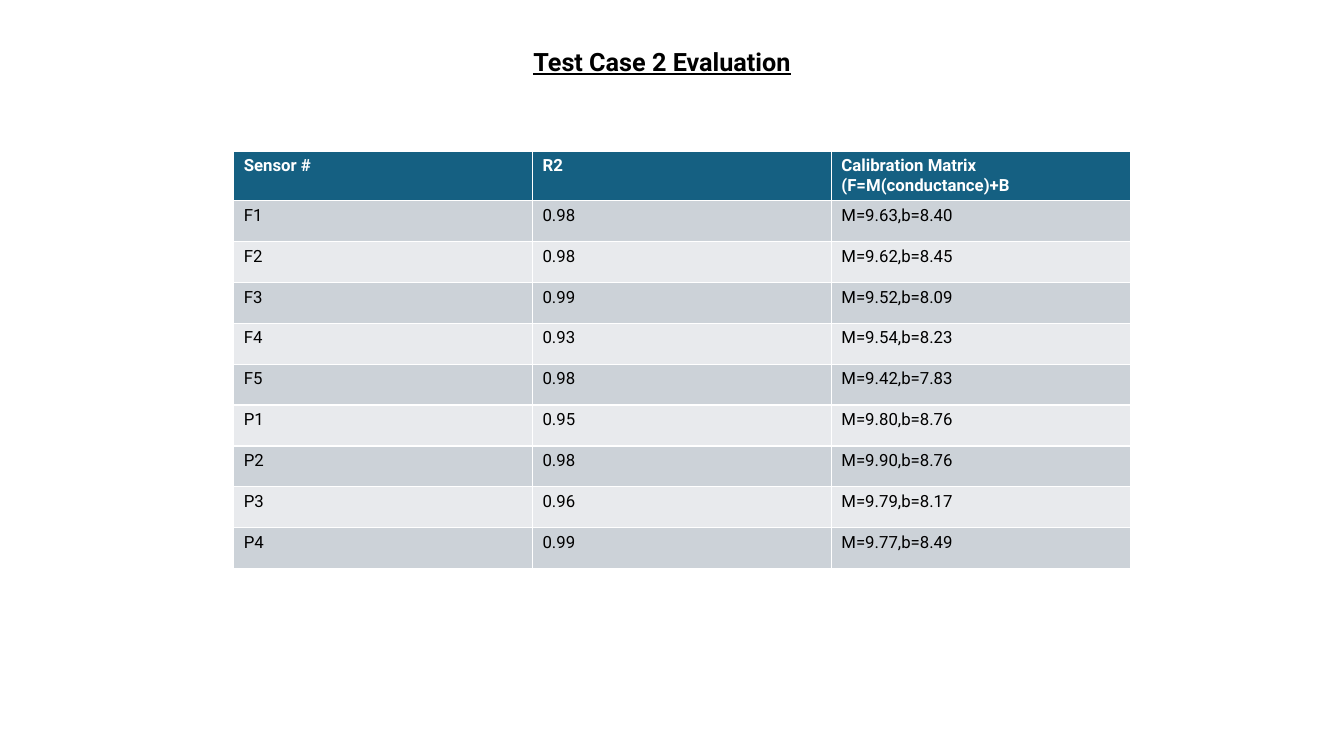
from pptx import Presentation
from pptx.dml.color import RGBColor
from pptx.enum.text import MSO_ANCHOR, PP_ALIGN
from pptx.util import Cm, Pt

COLORS = {
    "text": "000000",
    "header_text": "FFFFFF",
    "header": "156082",
    "odd_row": "CCD2D8",
    "even_row": "E8EAED",
}
TITLE_FORMAT = {"name": "Roboto", "size": Pt(18), "bold": True, "underline": True}
HEADER_FORMAT = {"name": "Roboto", "size": Pt(12), "bold": True}
READING_FORMAT = {"name": "Roboto", "size": Pt(12), "bold": False}

HEADINGS = ("Sensor #", "R2", "Calibration Matrix (F=M(conductance)+B")
READINGS = [
    ("F1", "0.98", "M=9.63,b=8.40"),
    ("F2", "0.98", "M=9.62,b=8.45"),
    ("F3", "0.99", "M=9.52,b=8.09"),
    ("F4", "0.93", "M=9.54,b=8.23"),
    ("F5", "0.98", "M=9.42,b=7.83"),
    ("P1", "0.95", "M=9.80,b=8.76"),
    ("P2", "0.98", "M=9.90,b=8.76"),
    ("P3", "0.96", "M=9.79,b=8.17"),
    ("P4", "0.99", "M=9.77,b=8.49"),
]


def write(paragraph, text, font_format, color):
    run = paragraph.add_run()
    run.text = text
    for attribute, value in font_format.items():
        setattr(run.font, attribute, value)
    run.font.color.rgb = RGBColor.from_string(COLORS[color])


presentation = Presentation()
presentation.slide_width = Cm(33.87)
presentation.slide_height = Cm(19.05)
slide = presentation.slides.add_slide(presentation.slide_layouts[5])

# Title
title = slide.shapes.title
title.left, title.top, title.width, title.height = Cm(13.18), Cm(1.04), Cm(7.01), Cm(1.02)
title.text_frame.word_wrap = False
title.text_frame.vertical_anchor = MSO_ANCHOR.TOP
heading = title.text_frame.paragraphs[0]
heading.alignment = PP_ALIGN.CENTER
write(heading, "Test Case 2 Evaluation", TITLE_FORMAT, "text")

# Calibration table: the default table style draws the white rules
rows = [HEADINGS, *READINGS]
calibration = slide.shapes.add_table(
    len(rows), len(HEADINGS), Cm(5.89), Cm(3.81), Cm(22.58), Cm(10.53)
).table
for column in calibration.columns:
    column.width = Cm(7.53)

for row_number, values in enumerate(rows):
    is_header = row_number == 0
    calibration.rows[row_number].height = Cm(1.24 if is_header else 1.03)
    if is_header:
        fill, color, font_format = "header", "header_text", HEADER_FORMAT
    else:
        fill = "odd_row" if row_number % 2 else "even_row"
        color, font_format = "text", READING_FORMAT
    for column_number, value in enumerate(values):
        cell = calibration.cell(row_number, column_number)
        cell.fill.solid()
        cell.fill.fore_color.rgb = RGBColor.from_string(COLORS[fill])
        write(cell.text_frame.paragraphs[0], value, font_format, color)

presentation.save("out.pptx")
